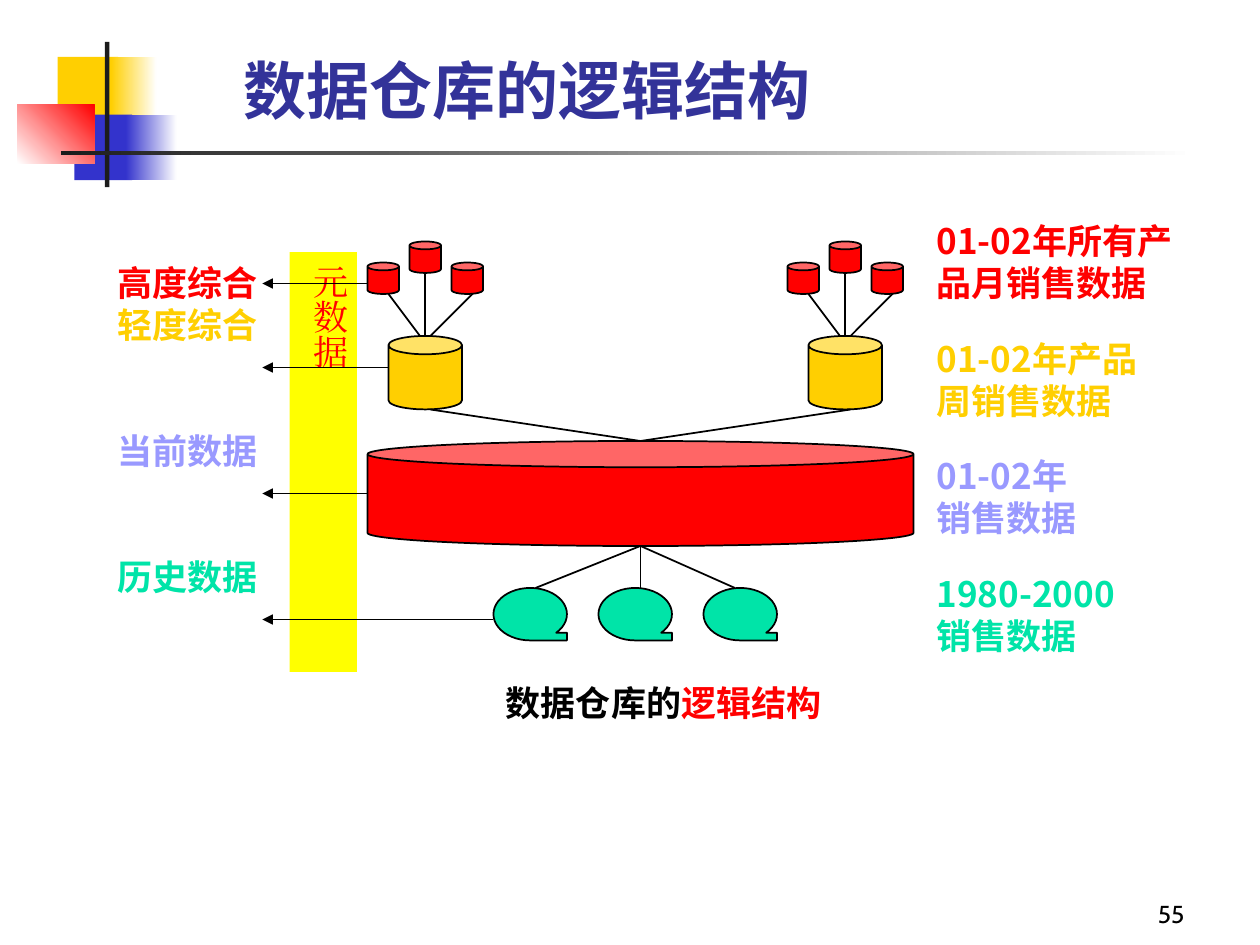
from dataclasses import dataclass

from lxml.etree import SubElement
from pptx import Presentation
from pptx.dml.color import RGBColor
from pptx.enum.shapes import MSO_CONNECTOR, MSO_SHAPE
from pptx.enum.text import MSO_ANCHOR, MSO_AUTO_SIZE, PP_ALIGN
from pptx.oxml.ns import qn
from pptx.util import Pt

BLACK = RGBColor(0x00, 0x00, 0x00)
CHARCOAL = RGBColor(0x1C, 0x1C, 0x1C)
WHITE = RGBColor(0xFF, 0xFF, 0xFF)
RED = RGBColor(0xFF, 0x00, 0x00)
GOLD = RGBColor(0xFF, 0xCF, 0x01)
YELLOW = RGBColor(0xFF, 0xFF, 0x00)
BLUE = RGBColor(0x33, 0x33, 0xCC)
NAVY = RGBColor(0x33, 0x33, 0x99)
LAVENDER = RGBColor(0x99, 0x99, 0xFF)
GREEN = RGBColor(0x00, 0xE4, 0xA8)

SANS = "Noto Sans CJK SC"
SERIF = "Times New Roman"
LINE_PITCH = 24
CLUSTER_OFFSETS = (0, 240)


@dataclass(frozen=True)
class Box:
    left: float
    top: float
    width: float
    height: float

    def lengths(self) -> tuple:
        return Pt(self.left), Pt(self.top), Pt(self.width), Pt(self.height)


@dataclass(frozen=True)
class Band:
    box: Box
    start: RGBColor
    end: RGBColor | None = None
    angle: float = 0


@dataclass(frozen=True)
class Store:
    box: Box
    color: RGBColor
    kind: MSO_SHAPE = MSO_SHAPE.CAN


@dataclass(frozen=True)
class Link:
    x1: float
    y1: float
    x2: float
    y2: float
    arrow: bool = False


@dataclass(frozen=True)
class Label:
    text: str
    color: RGBColor
    space_before: float = 0


BANDS = [
    Band(Box(33, 32.5, 34.5, 37.5), GOLD),
    Band(Box(63.5, 32.5, 26, 37.5), GOLD, WHITE),
    Band(Box(42.5, 65.5, 33, 37.5), BLUE),
    Band(Box(72, 65.5, 29, 37.5), BLUE, WHITE),
    Band(Box(10, 60, 44, 33.5), WHITE, RED, 45),
    Band(Box(60, 24, 2.5, 83), CHARCOAL),
    Band(Box(35, 86.2, 648, 2.3), CHARCOAL, WHITE),
]
LEVELS = [
    Label("高度综合", RED),
    Label("轻度综合", GOLD),
    Label("当前数据", LAVENDER, 2 * LINE_PITCH),
    Label("历史数据", GREEN, 2 * LINE_PITCH),
]
EXAMPLES = [
    Label("01-02年所有产", RED),
    Label("品月销售数据", RED),
    Label("01-02年产品", GOLD, 19.2),
    Label("周销售数据", GOLD),
    Label("01-02年", LAVENDER, 19.2),
    Label("销售数据", LAVENDER),
    Label("1980-2000", GREEN, 19.2),
    Label("销售数据", GREEN),
]


def cluster_stores(offset: float) -> list[Store]:
    """Three monthly stores above one weekly store."""
    monthly = [Store(Box(left + offset, top, 18, 18), RED)
               for left, top in ((210, 150), (234, 138), (258, 150))]
    return monthly + [Store(Box(222 + offset, 192, 42, 42), GOLD)]


def cluster_links(offset: float) -> list[Link]:
    ends = ((243, 243, 156), (240, 222, 168), (246, 270, 168))
    return [Link(x1 + offset, 192, x2 + offset, y2) for x1, x2, y2 in ends]


STORES = [store for offset in CLUSTER_OFFSETS for store in cluster_stores(offset)]
STORES.append(Store(Box(210, 252, 312, 60), RED))
STORES += [Store(Box(282 + 60 * index, 336, 42, 30), GREEN,
                 MSO_SHAPE.FLOWCHART_SEQUENTIAL_ACCESS_STORAGE) for index in range(3)]

LINKS = [Link(366, 312, x, 336) for x in (306, 366, 420)]
LINKS += [Link(366, 252, 246 + offset, 234) for offset in CLUSTER_OFFSETS]
LINKS += [link for offset in CLUSTER_OFFSETS for link in cluster_links(offset)]
LINKS += [Link(x, y, 150, y, True)
          for x, y in ((210, 162), (222, 210), (210, 282), (282, 354))]


def add_plain_shape(slide, kind: MSO_SHAPE, box: Box):
    shape = slide.shapes.add_shape(kind, *box.lengths())
    shape.shadow.inherit = False
    shape.line.fill.background()
    return shape


def add_band(slide, band: Band) -> None:
    fill = add_plain_shape(slide, MSO_SHAPE.RECTANGLE, band.box).fill
    if band.end is None:
        fill.solid()
        fill.fore_color.rgb = band.start
        return
    fill.gradient()
    fill.gradient_angle = band.angle
    for stop, color in zip(fill.gradient_stops, (band.start, band.end)):
        stop.color.rgb = color


def add_store(slide, store: Store) -> None:
    shape = add_plain_shape(slide, store.kind, store.box)
    shape.fill.solid()
    shape.fill.fore_color.rgb = store.color
    shape.line.color.rgb = BLACK
    shape.line.width = Pt(1)


def add_link(slide, link: Link) -> None:
    connector = slide.shapes.add_connector(
        MSO_CONNECTOR.STRAIGHT, Pt(link.x1), Pt(link.y1), Pt(link.x2), Pt(link.y2))
    connector.line.color.rgb = BLACK
    connector.line.width = Pt(1)
    if link.arrow:
        SubElement(connector.line._get_or_add_ln(), qn("a:tailEnd"), type="triangle")
    SubElement(connector._element.spPr, qn("a:effectLst"))


def add_run(paragraph, text: str, color: RGBColor, size: float = 20,
            font: str = SANS, bold: bool = True) -> None:
    run = paragraph.add_run()
    run.text = text
    run.font.size, run.font.bold, run.font.name = Pt(size), bold, font
    run.font.color.rgb = color
    SubElement(run.font._element, qn("a:ea"), typeface=font)


def prepare_frame(shape, box: Box, anchor=MSO_ANCHOR.TOP, top: float = 5.5, bottom: float = 3.6):
    shape.left, shape.top, shape.width, shape.height = box.lengths()
    frame = shape.text_frame
    frame.word_wrap = True
    frame.auto_size = MSO_AUTO_SIZE.NONE
    frame.vertical_anchor = anchor
    frame.margin_top, frame.margin_bottom = Pt(top), Pt(bottom)
    return frame


def add_labels(frame, labels: list[Label]) -> None:
    for index, label in enumerate(labels):
        paragraph = frame.add_paragraph() if index else frame.paragraphs[0]
        paragraph.line_spacing = Pt(LINE_PITCH)
        paragraph.space_before = Pt(label.space_before)
        properties = paragraph._p.get_or_add_pPr()
        properties.set("marL", "0")
        properties.set("indent", "0")
        SubElement(properties, qn("a:buNone"))
        add_run(paragraph, label.text, label.color)


def add_text_box(slide, box: Box, **options):
    return prepare_frame(slide.shapes.add_textbox(*box.lengths()), box, **options)


def main() -> None:
    presentation = Presentation()
    presentation.slide_width, presentation.slide_height = Pt(720), Pt(540)
    slide = presentation.slides.add_slide(presentation.slide_layouts[1])

    for band in BANDS:
        add_band(slide, band)

    title = prepare_frame(slide.shapes.title, Box(132, 30, 559.5, 42.5),
                          anchor=MSO_ANCHOR.BOTTOM, bottom=0).paragraphs[0]
    title.alignment = PP_ALIGN.LEFT
    add_run(title, "数据仓库的逻辑结构", NAVY, size=36)
    add_labels(prepare_frame(slide.placeholders[1], Box(60, 144, 102, 258)), LEVELS)

    for store in STORES:
        add_store(slide, store)

    metadata = add_plain_shape(slide, MSO_SHAPE.RECTANGLE, Box(165.5, 144, 38.5, 240))
    metadata.fill.solid()
    metadata.fill.fore_color.rgb = YELLOW
    frame = prepare_frame(metadata, Box(165.5, 144, 38.5, 240), top=7.2)
    frame.margin_left = frame.margin_right = Pt(3.6)
    frame._txBody.bodyPr.set("vert", "eaVert")
    frame.paragraphs[0].alignment = PP_ALIGN.JUSTIFY
    add_run(frame.paragraphs[0], "元数据", RED, font=SERIF, bold=False)

    for link in LINKS:
        add_link(slide, link)

    add_labels(add_text_box(slide, Box(528, 120, 156, 257)), EXAMPLES)
    caption = add_text_box(slide, Box(282, 384, 198, 31)).paragraphs[0]
    caption.line_spacing = Pt(LINE_PITCH)
    add_run(caption, "数据仓库的", BLACK)
    add_run(caption, "逻辑结构", RED)
    number = add_text_box(slide, Box(534, 498, 150, 36), anchor=MSO_ANCHOR.BOTTOM).paragraphs[0]
    number.alignment = PP_ALIGN.RIGHT
    add_run(number, "55", BLACK, size=14, font="Cabin", bold=False)

    presentation.save("out.pptx")


if __name__ == "__main__":
    main()
